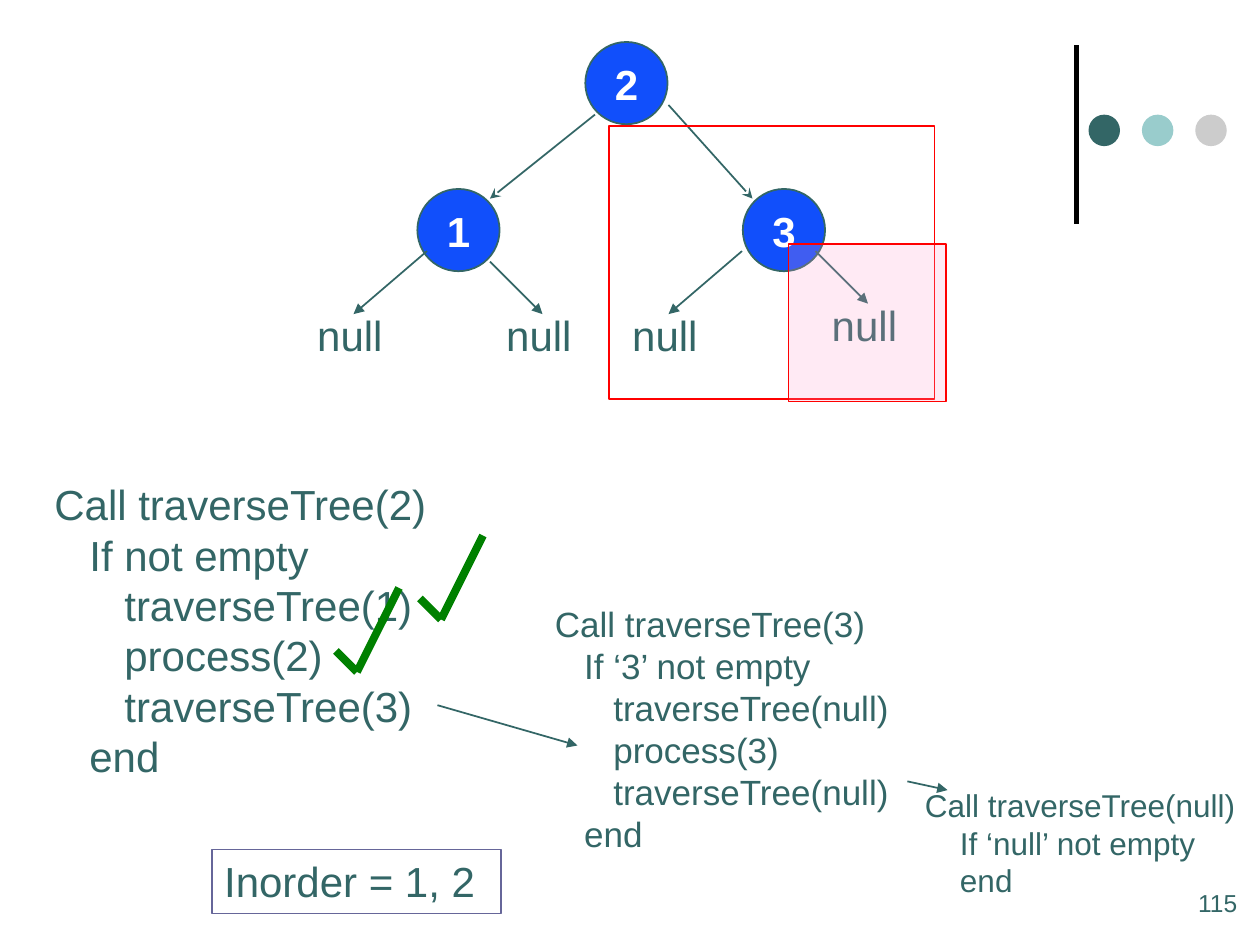
"""Build a slide tracing an inorder traversal of a three-node binary tree."""
import pptx
import pptx.dml.color
import pptx.enum.shapes
import pptx.enum.text
import pptx.oxml
import pptx.oxml.ns
import pptx.util

Pt = pptx.util.Pt
SHAPES = pptx.enum.shapes.MSO_SHAPE
ALIGN = pptx.enum.text.PP_ALIGN
TEAL = "336666"
RED = "FF0000"
GREEN = "008000"
DRAWING = pptx.oxml.ns.nsdecls("a")


def paint(target, value):
    color = pptx.dml.color.RGBColor.from_string(value)
    if hasattr(target, "solid"):
        target.solid()
        target.fore_color.rgb = color
    else:
        target.color.rgb = color


def write(left, top, width, height, lines, size, step=0, color=TEAL, bold=False,
          align=ALIGN.LEFT, wrap=False):
    box = page.shapes.add_textbox(Pt(left), Pt(top), Pt(width), Pt(height))
    box.text_frame.word_wrap = wrap
    for index, (level, words) in enumerate(lines):
        para = box.text_frame.paragraphs[0] if index == 0 else box.text_frame.add_paragraph()
        para.alignment = align
        para.line_spacing = Pt(size * 1.2)
        if level:
            para._p.get_or_add_pPr().set("marL", str(Pt(level * step)))
        span = para.add_run()
        span.text = words
        span.font.name = "Arial"
        span.font.size = Pt(size)
        span.font.bold = bold
        paint(span.font, color)
    return box


deck = pptx.Presentation()
deck.slide_width = Pt(720)
deck.slide_height = Pt(540)
page = deck.slides.add_slide(deck.slide_layouts[6])

ovals = [(622, 65.5, 18, "336666", False), (652.5, 65.5, 18, "99CCCC", False),
         (683, 65.5, 18, "CCCCCC", False)]
nodes = [("2", 334.5, 24), ("1", 238.5, 108), ("3", 424.5, 108)]
ovals += [(left, top, 47, "114FFB", True) for label, left, top in nodes]
for left, top, size, color, outlined in ovals:
    oval = page.shapes.add_shape(SHAPES.OVAL, Pt(left), Pt(top), Pt(size), Pt(size))
    oval.shadow.inherit = False
    paint(oval.fill, color)
    if outlined:
        paint(oval.line, TEAL)
        oval.line.width = Pt(1)
    else:
        oval.line.fill.background()

for label, left, top in nodes:
    write(left + 9.5, top + 6, 28, 36, [(0, label)], 24, color="FFFFFF", bold=True,
          align=ALIGN.CENTER)
for left, top in [(174, 173.5), (354, 173.5), (282, 173.5), (468, 167.5)]:
    write(left, top, 52, 36, [(0, "null")], 24, align=ALIGN.CENTER)

write(677.5, 504, 42.5, 36, [(0, "115")], 14, wrap=True)
write(24, 270, 227.5, 181.5, [
    (0, "Call traverseTree(2)"), (1, "If not empty"), (2, "traverseTree(1)"),
    (2, "process(2)"), (2, "traverseTree(3)"), (1, "end")], 24, step=20)
write(310, 340.5, 211.5, 175, [
    (0, "Call traverseTree(3)"), (1, "If ‘3’ not empty"), (2, "traverseTree(null)"),
    (2, "process(3)"), (2, "traverseTree(null)"), (1, "end")], 20, step=16.7)
write(521.5, 445.5, 193.5, 73, [
    (0, "Call traverseTree(null)"), (1, "If ‘null’ not empty"), (1, "end")], 18, step=20)
result = write(121, 485.5, 165.5, 36.5, [(0, "Inorder = 1, 2")], 24, wrap=True)
paint(result.line, "666699")
result.line.width = Pt(1)

lines = [
    (615, 128, 615, 26, "000000", 3, None),
    (340, 65.5, 280, 113.5, TEAL, 1, "stealth"),
    (382, 60, 430, 113.5, TEAL, 1, "stealth"),
    (244, 143.5, 202, 179.5, TEAL, 1, "triangle"),
    (424, 143.5, 382, 179.5, TEAL, 1, "triangle"),
    (280, 149.5, 310, 179.5, TEAL, 1, "triangle"),
    (466, 143.5, 496, 173.5, TEAL, 1, "triangle"),
    (250, 403, 330, 426, TEAL, 1, "triangle"),
    (518.5, 446.5, 541.5, 451.5, TEAL, 1, "triangle"),
]
for left, top in [(240, 342), (192, 372)]:
    lines += [(left, top, left + 12, top + 12, GREEN, 4.5, None),
              (left + 12, top + 12, left + 36, top - 36, GREEN, 4.5, None)]
for x1, y1, x2, y2, color, weight, head in lines:
    line = page.shapes.add_connector(
        pptx.enum.shapes.MSO_CONNECTOR.STRAIGHT, Pt(x1), Pt(y1), Pt(x2), Pt(y2))
    paint(line.line, color)
    line.line.width = Pt(weight)
    if head:
        line.line._get_or_add_ln().append(
            pptx.oxml.parse_xml(f'<a:tailEnd {DRAWING} type="{head}"/>'))
    line._element.spPr.append(pptx.oxml.parse_xml(f"<a:effectLst {DRAWING}/>"))

for left, top, width, height, tint in [(348, 72, 186, 156, None),
                                       (450.5, 139.5, 90, 90, "FF99CC")]:
    frame = page.shapes.add_shape(SHAPES.RECTANGLE, Pt(left), Pt(top), Pt(width), Pt(height))
    frame.shadow.inherit = False
    paint(frame.line, RED)
    frame.line.width = Pt(1)
    if tint:
        paint(frame.fill, tint)
        shade = frame._element.spPr.find(".//" + pptx.oxml.ns.qn("a:srgbClr"))
        shade.append(pptx.oxml.parse_xml(f'<a:alpha {DRAWING} val="20000"/>'))
    else:
        frame.fill.background()

deck.save("out.pptx")
